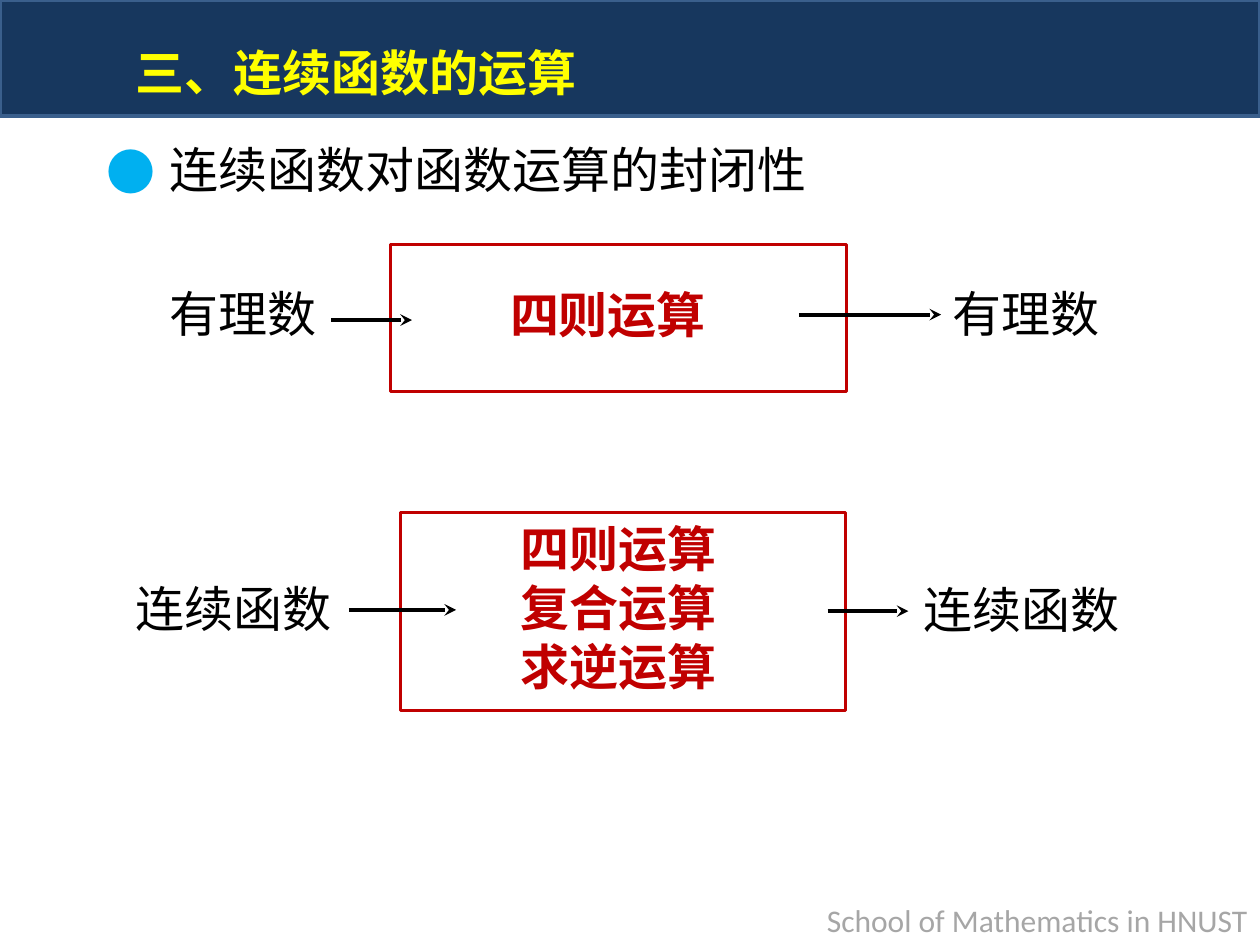
"""Build the slide on how continuous functions stay closed under operations."""
from dataclasses import dataclass

from lxml.etree import SubElement
from pptx import Presentation
from pptx.dml.color import RGBColor
from pptx.enum.shapes import MSO_CONNECTOR, MSO_SHAPE
from pptx.enum.text import MSO_AUTO_SIZE, PP_ALIGN
from pptx.oxml.ns import qn
from pptx.util import Pt


@dataclass(frozen=True)
class Theme:
    navy: str = "17375E"
    edge: str = "3A5F8C"
    yellow: str = "FFFF00"
    red: str = "C00000"
    black: str = "000000"
    gray: str = "A6A6A6"
    dot: str = "00B0F0"
    main: float = 28
    small: float = 18
    face: str = "Noto Sans CJK SC"
    latin: str = "Calibri"


class Board:
    def __init__(self, slide, theme):
        self.slide = slide
        self.theme = theme

    def rect(self, x, y, w, h, line, width, fill=None):
        box = self.slide.shapes.add_shape(
            MSO_SHAPE.RECTANGLE, Pt(x), Pt(y), Pt(w), Pt(h))
        box.shadow.inherit = False
        if fill:
            box.fill.solid()
            box.fill.fore_color.rgb = RGBColor.from_string(fill)
        else:
            box.fill.background()
        box.line.color.rgb = RGBColor.from_string(line)
        box.line.width = Pt(width)

    def text(self, x, y, w, h, lines, color, bold=False, wrap=False,
             size=None, face=None, align=PP_ALIGN.LEFT, indent=0, bullet=None):
        box = self.slide.shapes.add_textbox(Pt(x), Pt(y), Pt(w), Pt(h))
        frame = box.text_frame
        frame.word_wrap = wrap
        frame.auto_size = MSO_AUTO_SIZE.SHAPE_TO_FIT_TEXT
        frame.text = "\n".join(lines)
        face = face or self.theme.face
        for para in frame.paragraphs:
            para.alignment = align
            props = para._p.get_or_add_pPr()
            if indent:
                props.set("marL", str(Pt(indent)))
                props.set("indent", str(-Pt(indent)))
            if bullet:
                para.line_spacing = 1.3
                para.space_after = Pt(6)
                tint = SubElement(props, qn("a:buClr"))
                SubElement(tint, qn("a:srgbClr"), val=self.theme.dot)
                SubElement(props, qn("a:buFont"), typeface=face)
                SubElement(props, qn("a:buChar"), char=bullet)
            font = para.font
            font.size = Pt(size or self.theme.main)
            font.bold = bold
            font.color.rgb = RGBColor.from_string(color)
            font.name = face
            SubElement(props.find(qn("a:defRPr")), qn("a:ea"), typeface=face)

    def arrow(self, start, end, y):
        line = self.slide.shapes.add_connector(
            MSO_CONNECTOR.STRAIGHT, Pt(start), Pt(y), Pt(end), Pt(y))
        line.line.color.rgb = RGBColor.from_string(self.theme.black)
        line.line.width = Pt(2.25)
        SubElement(line.line._get_or_add_ln(), qn("a:tailEnd"), type="stealth")
        SubElement(line._element.spPr, qn("a:effectLst"))


def main():
    deck = Presentation()
    deck.slide_width, deck.slide_height = Pt(720), Pt(540)
    theme = Theme()
    board = Board(deck.slides.add_slide(deck.slide_layouts[6]), theme)

    board.text(329, 511.2, 391, 28.8, ["School of Mathematics in HNUST"],
               theme.gray, wrap=True, size=theme.small, face=theme.latin,
               align=PP_ALIGN.RIGHT)
    board.rect(0, 0, 720, 66.2, theme.edge, 2, theme.navy)
    board.text(70.6, 20.9, 269.3, 41, ["三、连续函数的运算"], theme.yellow,
               bold=True, indent=27)
    board.text(54, 66.2, 685.4, 46.8, ["连续函数对函数运算的封闭性"],
               theme.black, wrap=True, indent=36, bullet="●")

    rows = [
        ((223.2, 139.7, 260.6, 84.2), (159.1, 42.5), ["四则运算"],
         "有理数", 99.4, [(90, 158.4, 189.4, 235.4, 182.9),
                       (537.1, 158.4, 456.5, 537.8, 179.8)]),
        ((229, 293, 254.2, 113), (293, 113),
         ["四则运算", "复合运算", "求逆运算"],
         "连续函数", 127.4, [(70.6, 326.9, 199.4, 260.6, 348.5),
                         (520.6, 327.6, 473, 519.1, 349.2)]),
    ]
    for frame, (top, high), steps, label, wide, sides in rows:
        board.rect(*frame, theme.red, 1.5)
        board.text(frame[0] + 61.2, top, 131.8, high, steps, theme.red,
                   bold=True)
        for left, y, start, end, level in sides:
            board.arrow(start, end, level)
            board.text(left, y, wide, 41, [label], theme.black)

    deck.save("out.pptx")


if __name__ == "__main__":
    main()
